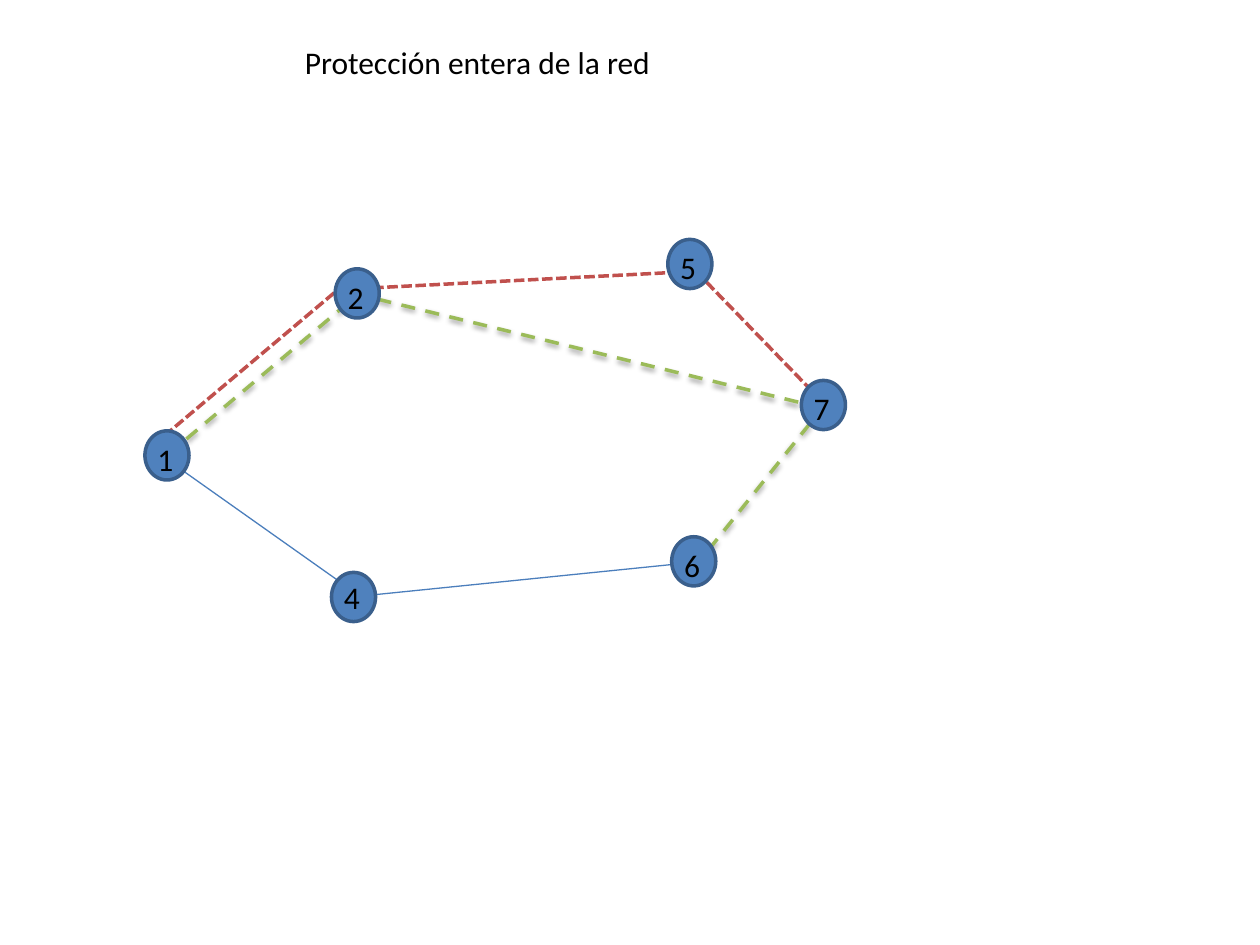
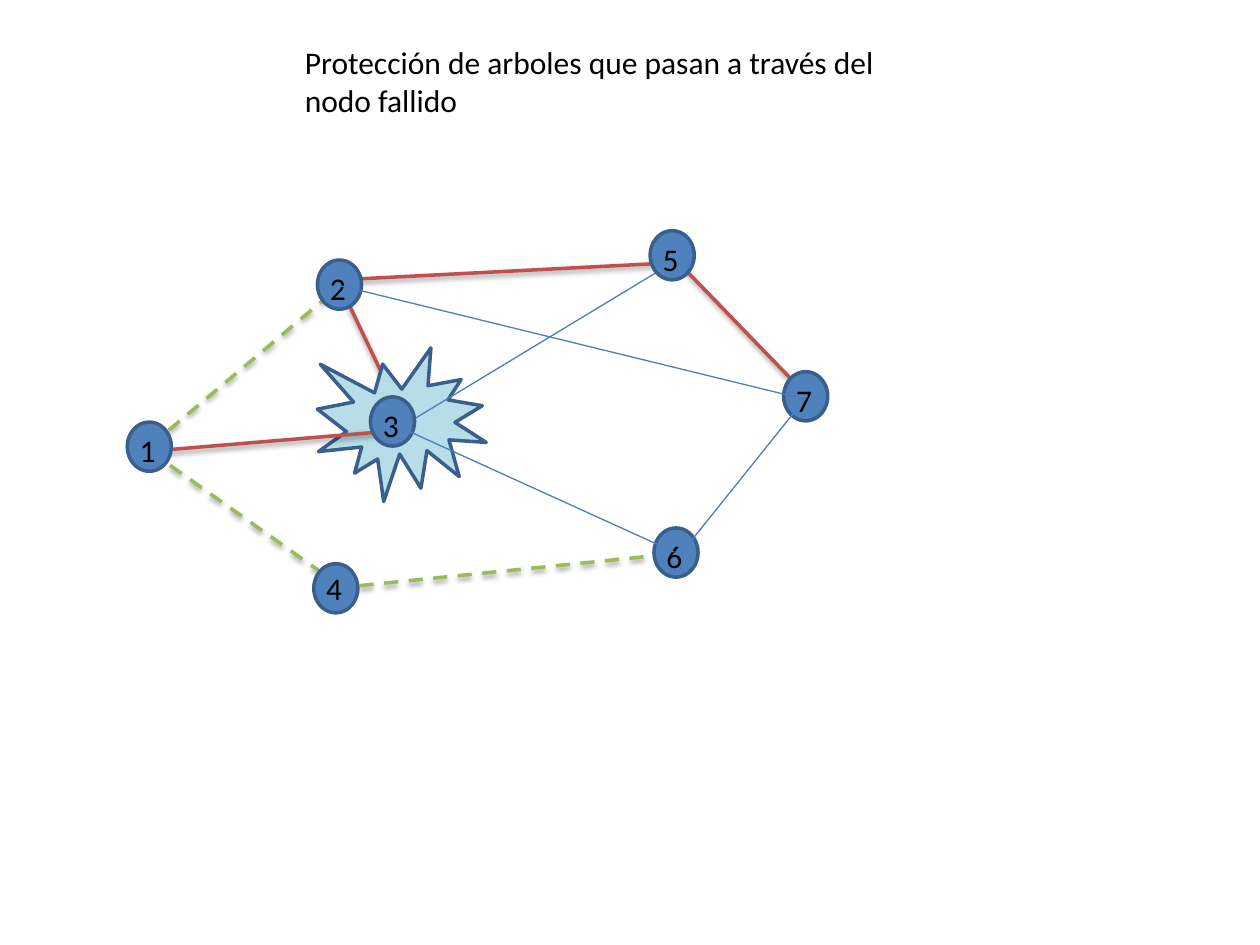
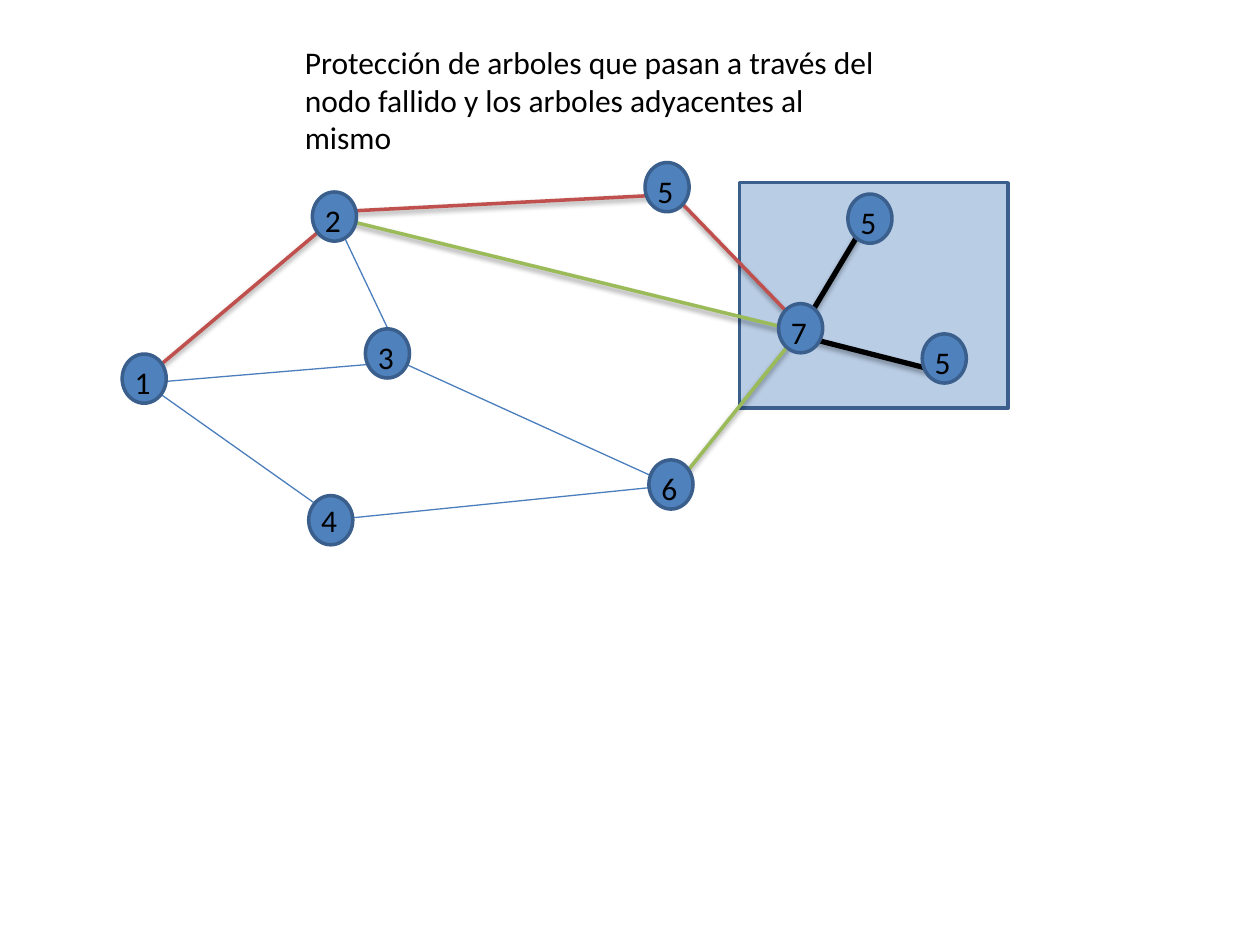
from lxml.etree import SubElement
from pptx import Presentation
from pptx.dml.color import RGBColor
from pptx.enum.dml import MSO_LINE as DASH
from pptx.enum.shapes import MSO_CONNECTOR as CONN, MSO_SHAPE as SHAPE
from pptx.enum.text import MSO_ANCHOR as ANCHOR, MSO_AUTO_SIZE as AUTO, PP_ALIGN as ALIGN
from pptx.oxml.ns import qn
from pptx.util import Pt

FONT, TEXT_SIZE = "Calibri", 18
BLACK, RED, GREEN, BLUE = "000000", "C0504D", "9BBB59", "4B7EBC"
NODE_FILL, OUTLINE = "4F81BD", "3A5F8C"
BURST_FILL, REGION_FILL = "B7DEE8", "B9CDE5"
NODE_W, NODE_H = 25.2, 28.1
LABEL_W, LABEL_H, LABEL_DROP = 27.4, 28.8, 1.6

NODES = {
    "1": (0, 109.4), "2": (108.7, 16.8), "3": (139, 95), "4": (106.6, 190.3),
    "6": (301, 169.9), "5": (298.8, 0), "7": (375.1, 80.6),
}
LINKS = {
    "1-2": (13, 123.1, 122.4, 31),
    "1-2 outer": (5, 117.4, 114.5, 25.2),
    "1-3": (13.7, 126, 151.2, 114.5),
    "1-4": (13, 126, 118.8, 200.9),
    "2-3": (122.4, 33.1, 152.6, 96.5),
    "2-5": (122.4, 28.1, 311.4, 18.4),
    "2-7": (119.2, 30.8, 387.7, 96.5),
    "3-5": (152.6, 114.5, 311, 18.7),
    "3-6": (152.6, 110.9, 312.5, 183.6),
    "4-6": (118.8, 204.3, 301.2, 185.8),
    "5-7": (315.4, 18.7, 380.9, 86.4),
    "7-6": (388.8, 94.3, 315.4, 185.8),
    "7-upper": (388.8, 94.3, 428.4, 28.1),
    "7-lower": (388.8, 99.4, 470.2, 120.2),
}
ADJACENT = [(414.7, 18), (457.2, 97.9)]

STYLES = {
    "plain": (BLUE, 0.75, None, None),
    "red": (RED, 2, None, (38, 1.6)),
    "red dots": (RED, 2, DASH.SQUARE_DOT, None),
    "green": (GREEN, 2, None, (38, 1.6)),
    "green dash": (GREEN, 2, DASH.DASH, (38, 1.6)),
    "black": (BLACK, 3, None, (35, 1.8)),
}


def rgb(hex_color):
    return RGBColor.from_string(hex_color)


def add_run(p, text):
    r = p.add_run()
    r.text = text
    r.font.name, r.font.size = FONT, Pt(TEXT_SIZE)
    r.font.color.rgb = rgb(BLACK)


def add_filled(shapes, kind, x, y, w, h, fill):
    sp = shapes.add_shape(kind, Pt(x), Pt(y), Pt(w), Pt(h))
    sp.shadow.inherit = False
    sp.fill.solid()
    sp.fill.fore_color.rgb = rgb(fill)
    sp.line.color.rgb = rgb(OUTLINE)
    sp.line.width = Pt(2)


def add_link(shapes, x, y, ends, style):
    color, width, dash, shadow = STYLES[style]
    x1, y1, x2, y2 = ends
    line = shapes.add_connector(CONN.STRAIGHT, Pt(x + x1), Pt(y + y1), Pt(x + x2), Pt(y + y2))
    line.line.color.rgb = rgb(color)
    line.line.width = Pt(width)
    if dash:
        line.line.dash_style = dash
    effects = SubElement(line._element.spPr, qn("a:effectLst"))
    if shadow:
        alpha, dist = shadow
        outer = SubElement(effects, qn("a:outerShdw"), blurRad=str(Pt(3.1)),
                           dist=str(Pt(dist)), dir="5400000", rotWithShape="0")
        shade = SubElement(outer, qn("a:srgbClr"), val=BLACK)
        SubElement(shade, qn("a:alpha"), val=str(alpha * 1000))


def add_links(shapes, x, y, links):
    for name, style in links:
        add_link(shapes, x, y, LINKS[name], style)


def add_node(shapes, x, y, label, drop=LABEL_DROP):
    add_filled(shapes, SHAPE.OVAL, x, y, NODE_W, NODE_H, NODE_FILL)
    box = shapes.add_textbox(Pt(x), Pt(y + drop), Pt(LABEL_W), Pt(LABEL_H))
    tf = box.text_frame
    tf.word_wrap = True
    tf.auto_size = AUTO.SHAPE_TO_FIT_TEXT
    add_run(tf.paragraphs[0], label)


def add_nodes(shapes, x, y, labels):
    for label in labels:
        dx, dy = NODES[label]
        add_node(shapes, x + dx, y + dy, label, -0.6 if label == "4" else LABEL_DROP)


def add_titled_slide(prs, title, height):
    s = prs.slides.add_slide(prs.slide_layouts[5])
    sp = s.shapes.title
    sp.left, sp.top, sp.width, sp.height = Pt(167), Pt(20.9), Pt(339.8), Pt(height)
    tf = sp.text_frame
    tf.word_wrap = True
    tf.auto_size = AUTO.SHAPE_TO_FIT_TEXT
    tf.vertical_anchor = ANCHOR.TOP
    p = tf.paragraphs[0]
    p.alignment = ALIGN.LEFT
    add_run(p, title)
    return s


def whole_network(s, x, y):
    shapes = s.shapes.add_group_shape().shapes
    add_links(shapes, x, y, [
        ("1-2 outer", "red dots"), ("7-6", "green dash"), ("2-7", "green dash"),
        ("2-5", "red dots"), ("1-2", "green dash"), ("5-7", "red dots"),
        ("4-6", "plain"), ("1-4", "plain"),
    ])
    add_nodes(shapes, x, y, "124657")


def failed_node(s, x, y):
    shapes = s.shapes
    add_links(shapes, x, y, [("2-5", "red"), ("1-2", "green dash"), ("2-3", "red")])
    add_filled(shapes, SHAPE.EXPLOSION1, x + 108.7, y + 67, 96.5, 87.8, BURST_FILL)
    add_links(shapes, x, y, [
        ("5-7", "red"), ("1-3", "red"), ("4-6", "green dash"),
        ("1-4", "green dash"), ("3-5", "plain"),
    ])
    add_nodes(shapes, x, y, NODES)
    add_links(shapes, x, y, [("3-6", "plain"), ("2-7", "plain"), ("7-6", "plain")])


def adjacent_trees(s, x, y):
    shapes = s.shapes
    add_filled(shapes, SHAPE.RECTANGLE, x + 352.8, y + 11.5, 153.4, 128.9, REGION_FILL)
    add_links(shapes, x, y, [
        ("7-6", "green"), ("2-7", "green"), ("7-upper", "black"), ("7-lower", "black"),
        ("2-5", "red"), ("1-2", "red"), ("2-3", "plain"), ("5-7", "red"),
        ("1-3", "plain"), ("4-6", "plain"), ("1-4", "plain"), ("3-6", "plain"),
    ])
    add_nodes(shapes, x, y, NODES)
    for dx, dy in ADJACENT:
        add_node(shapes, x + dx, y + dy, "5")


prs = Presentation()
prs.slide_width, prs.slide_height = Pt(720), Pt(540)

s = add_titled_slide(prs, "Protección entera de la red", 29.1)
whole_network(s, 82.8, 136.8)

s = add_titled_slide(prs, "Protección de arboles que pasan a través del nodo fallido", 50.9)
failed_node(s, 72.7, 131.8)

s = add_titled_slide(prs, "Protección de arboles que pasan a través del nodo fallido "
                     "y los arboles adyacentes al mismo", 72.7)
adjacent_trees(s, 69.8, 92.9)

prs.save("out.pptx")
